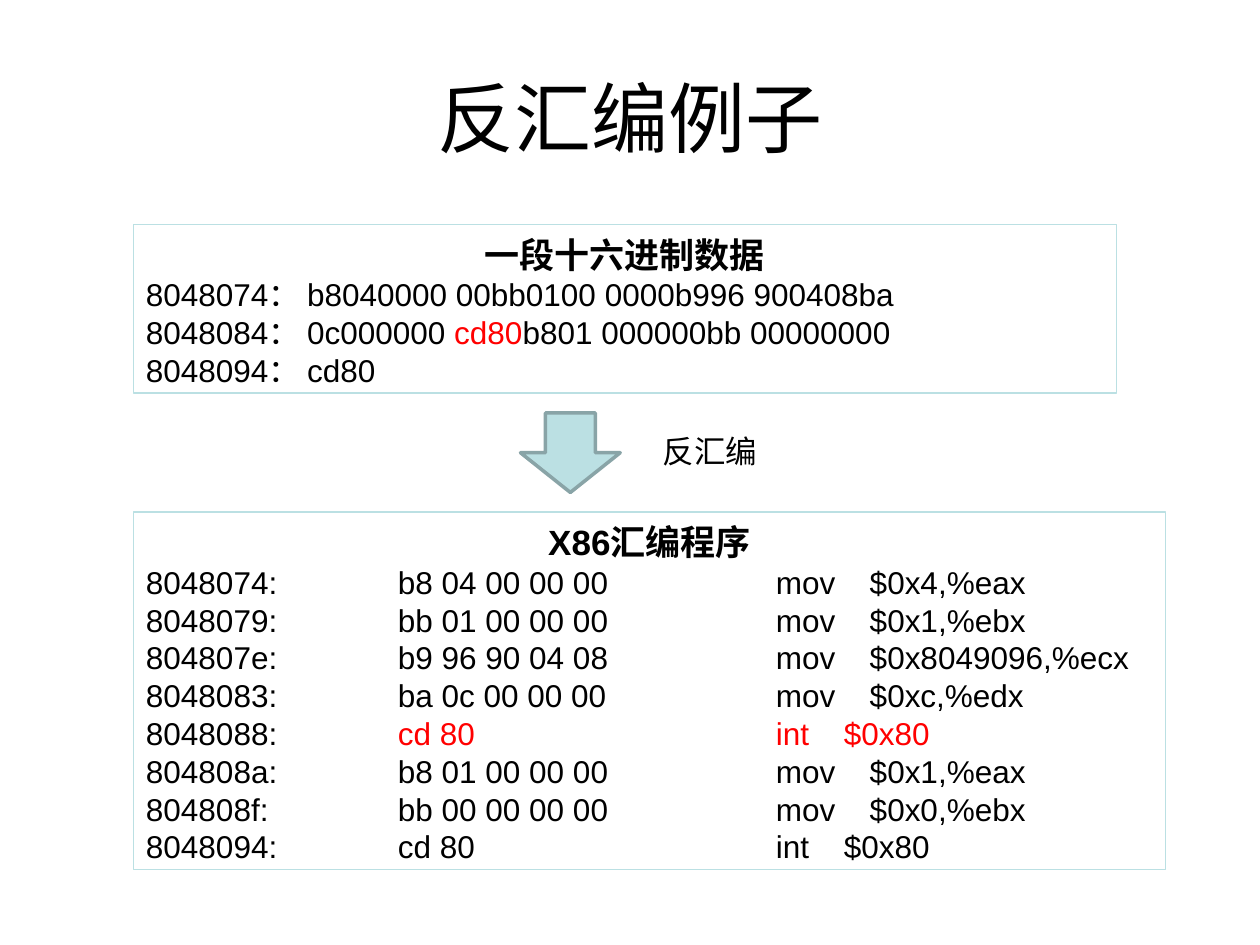
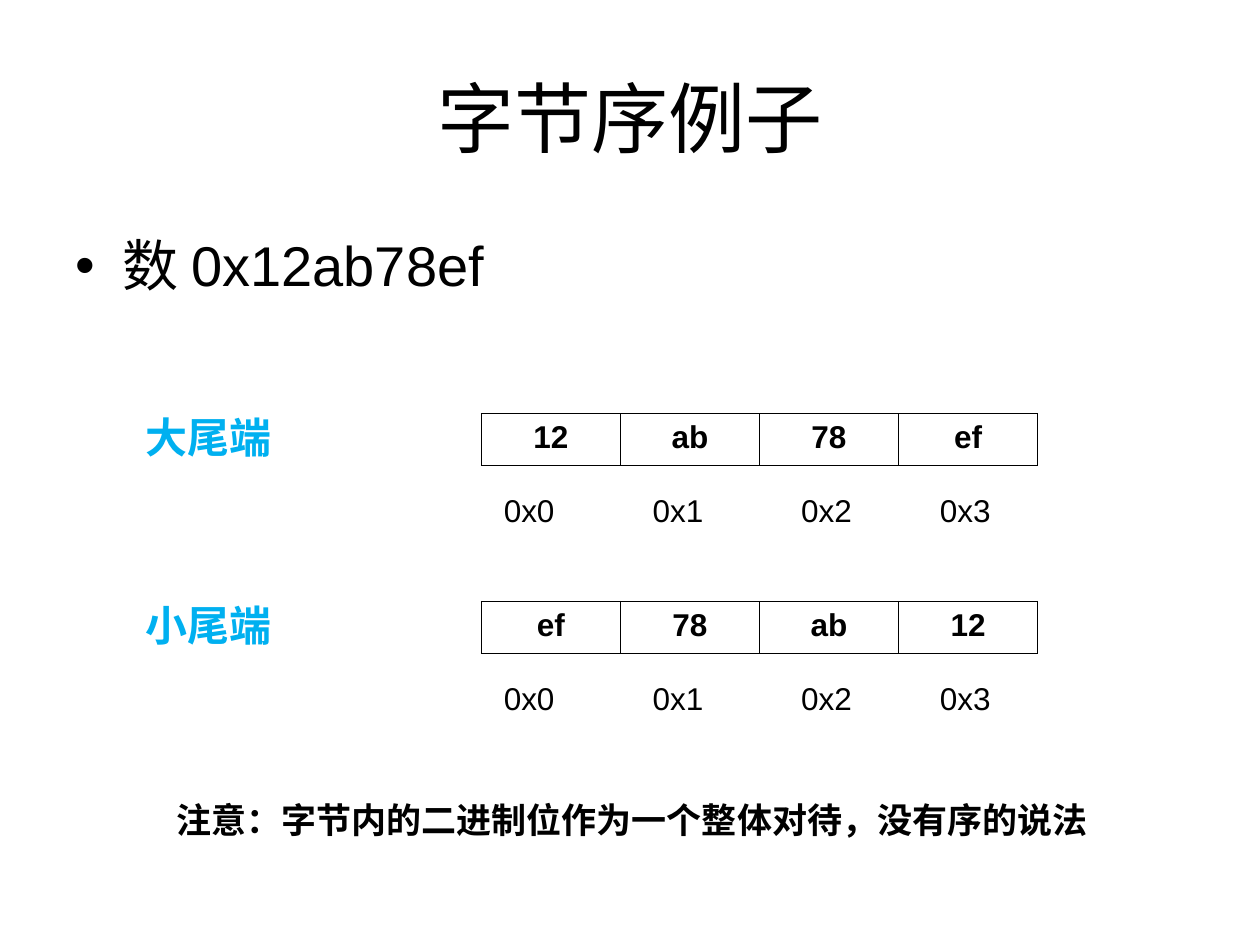
import pptx
import pptx.util
import pptx.dml.color
import pptx.enum.shapes
import pptx.enum.text
import lxml.etree

Pt = pptx.util.Pt
KIND = pptx.enum.shapes.MSO_SHAPE
ALIGN = pptx.enum.text.PP_ALIGN
ANCHOR = pptx.enum.text.MSO_ANCHOR
NS = "{http://schemas.openxmlformats.org/drawingml/2006/main}"
INK, RED, BLUE, PALE, EDGE = "000000", "FF0000", "00B0F0", "BBE0E3", "89A4A7"
LEFT = 76.3


def tint(code):
    return pptx.dml.color.RGBColor.from_string(code)


def write(host, text, at=None, size=18, bold=False, color=INK, mark=None,
          center=False, middle=False, tight=True, tabs=(), bullet=False):
    frame = host
    if at:
        frame = host.shapes.add_textbox(*map(Pt, at)).text_frame
        frame.word_wrap = True
        frame.margin_top = Pt(5 if tight else 3.6)
        frame.vertical_anchor = ANCHOR.MIDDLE if middle else ANCHOR.TOP
    para = frame.paragraphs[0]
    if para.runs:
        para = frame.add_paragraph()
    para.alignment = ALIGN.CENTER if center else ALIGN.LEFT
    if tight:
        para.line_spacing = Pt(round(size * 1.2, 1))
    props = para._p.get_or_add_pPr()
    if bullet:
        props.set("marL", str(Pt(27)))
        props.set("indent", str(-Pt(27)))
        lxml.etree.SubElement(props, NS + "buFont", typeface="Arial")
        lxml.etree.SubElement(props, NS + "buChar", char="•")
    if tabs:
        stops = lxml.etree.SubElement(props, NS + "tabLst")
        for stop in tabs:
            lxml.etree.SubElement(stops, NS + "tab", pos=str(Pt(stop)), algn="l")
    for part in text.partition(mark) if mark else [text]:
        if part:
            run = para.add_run()
            run.text = part
            run.font.name = "Arial"
            run.font.size = Pt(size)
            run.font.bold = bold
            run.font.color.rgb = tint(RED if part == mark else color)


deck = pptx.Presentation()
deck.slide_width, deck.slide_height = Pt(720), Pt(540)
slides = []
for title in ["反汇编例子", "字节序例子"]:
    slide = deck.slides.add_slide(deck.slide_layouts[6])
    write(slide, title, at=(36, 21.6, 648, 90), size=44, center=True, middle=True, tight=False)
    slides.append(slide)
code, order = slides

dump = [
    "8048074： b8040000 00bb0100 0000b996 900408ba",
    "8048084： 0c000000 cd80b801 000000bb 00000000",
    "8048094： cd80",
]
steps = [
    ("8048074:", "b8 04 00 00 00", "mov", "$0x4,%eax"),
    ("8048079:", "bb 01 00 00 00", "mov", "$0x1,%ebx"),
    ("804807e:", "b9 96 90 04 08", "mov", "$0x8049096,%ecx"),
    ("8048083:", "ba 0c 00 00 00", "mov", "$0xc,%edx"),
    ("8048088:", "cd 80", "int", "$0x80"),
    ("804808a:", "b8 01 00 00 00", "mov", "$0x1,%eax"),
    ("804808f:", "bb 00 00 00 00", "mov", "$0x0,%ebx"),
    ("8048094:", "cd 80", "int", "$0x80"),
]
frames = []
for head, top, width, height in [("一段十六进制数据", 128.2, 561.6, 96.5),
                                 ("X86汇编程序", 292.6, 589.7, 204.5)]:
    panel = code.shapes.add_shape(KIND.RECTANGLE, Pt(LEFT), Pt(top), Pt(width), Pt(height))
    panel.shadow.inherit = False
    panel.fill.background()
    panel.line.color.rgb = tint(PALE)
    panel.line.width = Pt(0.75)
    frame = panel.text_frame
    frame.word_wrap = True
    frame.margin_top = Pt(5)
    frame.vertical_anchor = ANCHOR.TOP
    write(frame, head, size=20, bold=True, center=True)
    frames.append(frame)
for row, line in enumerate(dump):
    write(frames[0], line, mark="cd80" if row == 1 else None)
for step in steps:
    call = "\t".join(step[1:])
    write(frames[1], step[0] + "\t" + call, mark=call if step[0] == "8048088:" else None,
          tabs=(144, 360, 413.6 if step[2] == "mov" else 398.8))

arrow = code.shapes.add_shape(KIND.DOWN_ARROW, Pt(297.4), Pt(236), Pt(57), Pt(45.4))
arrow.shadow.inherit = False
arrow.fill.solid()
arrow.fill.fore_color.rgb = tint(PALE)
arrow.line.color.rgb = tint(EDGE)
arrow.line.width = Pt(2)
write(code, "反汇编", at=(371.5, 242, 85, 28.8))

write(order, "数 0x12ab78ef", at=(36, 127, 648, 70), size=32, bullet=True)
data = ["12", "ab", "78", "ef"]
for name, top, cells in [("大尾端", 236.2, data), ("小尾端", 343.6, data[::-1])]:
    grid = order.shapes.add_table(1, 4, Pt(275), Pt(top), Pt(318), Pt(29.5)).table
    grid.first_row = grid.horz_banding = False
    for spot, byte in enumerate(cells):
        cell = grid.cell(0, spot)
        write(cell.text_frame, byte, bold=True, center=True, tight=False)
        props = cell._tc.get_or_add_tcPr()
        for side in ["lnL", "lnR", "lnT", "lnB"]:
            edge = lxml.etree.SubElement(props, NS + side, w=str(Pt(0.45)))
            fill = lxml.etree.SubElement(edge, NS + "solidFill")
            lxml.etree.SubElement(fill, NS + "srgbClr", val=INK)
        cell.fill.background()
    write(order, name, at=(LEFT, top - 5.8, 96.5, 36), size=24, bold=True, color=BLUE)
    for spot, left in enumerate([280.8, 365.8, 450.7, 530]):
        write(order, f"0x{spot}", at=(left, top + 39.6, 45.4, 28.8))
write(order, "注意：字节内的二进制位作为一个整体对待，没有序的说法",
      at=(93.6, 451.4, 560, 31.7), size=20, bold=True)

deck.save("out.pptx")
